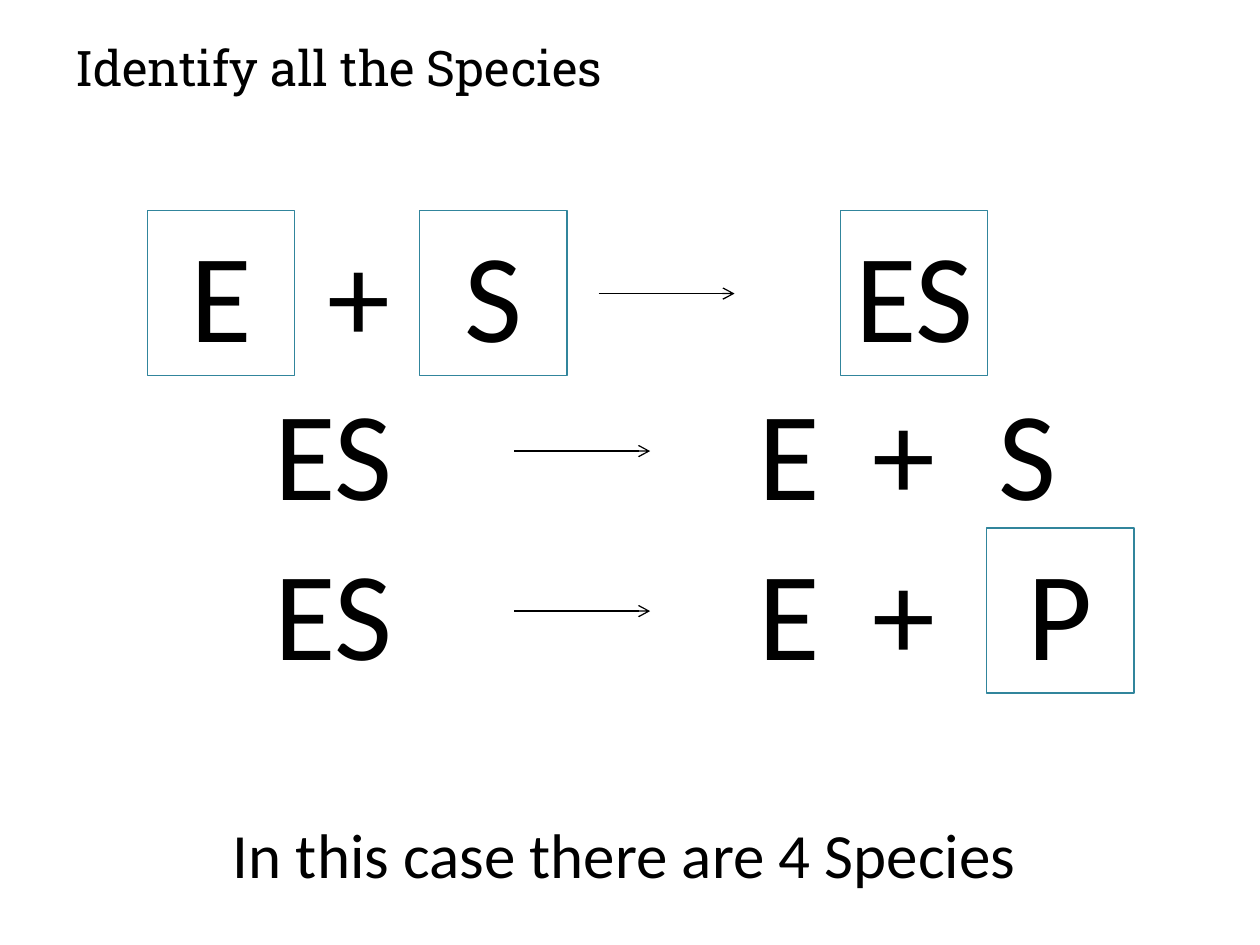
import pptx
import pptx.util
import pptx.dml.color
import pptx.enum.shapes
import pptx.enum.text
import pptx.oxml.ns
from lxml import etree

Inches, Pt = pptx.util.Inches, pptx.util.Pt
COLORS = {"text": "000000", "frame": "31859C"}
CELL_W, CELL_H = 1.17, 1.31
ARROW_W, ARROW_DROP = 1.08, 0.66


def rgb(name):
    return pptx.dml.color.RGBColor.from_string(COLORS[name])


def write(sp, text, size, font="Calibri", align=pptx.enum.text.PP_ALIGN.LEFT):
    tf = sp.text_frame
    tf.word_wrap = True
    tf.auto_size = pptx.enum.text.MSO_AUTO_SIZE.SHAPE_TO_FIT_TEXT
    tf.vertical_anchor = pptx.enum.text.MSO_ANCHOR.TOP
    p = tf.paragraphs[0]
    p.text = text
    p.alignment = align
    p.font.size = Pt(size)
    p.font.name = font
    p.font.color.rgb = rgb("text")


def add_label(slide, box, text, size, font="Calibri"):
    sp = slide.shapes.add_textbox(*map(Inches, box))
    write(sp, text, size, font)


def add_framed(slide, box, text, size):
    sp = slide.shapes.add_shape(
        pptx.enum.shapes.MSO_SHAPE.RECTANGLE, *map(Inches, box))
    sp.shadow.inherit = False
    sp.fill.background()
    sp.line.color.rgb = rgb("frame")
    sp.line.width = Pt(0.75)
    write(sp, text, size, align=pptx.enum.text.PP_ALIGN.CENTER)


def add_arrow(slide, left, top):
    line = slide.shapes.add_connector(
        pptx.enum.shapes.MSO_CONNECTOR.STRAIGHT,
        Inches(left), Inches(top), Inches(left + ARROW_W), Inches(top))
    line.line.color.rgb = rgb("text")
    line.line.width = Pt(0.75)
    qn = pptx.oxml.ns.qn
    etree.SubElement(line.line._get_or_add_ln(), qn("a:tailEnd"), type="arrow")
    etree.SubElement(line._element.spPr, qn("a:effectLst"))


def add_reaction(slide, top, terms, arrow_left):
    """One reaction row; each term is (left, text, is a new species)."""
    for left, text, is_new in terms:
        add = add_framed if is_new else add_label
        add(slide, (left, top, CELL_W, CELL_H), text, 72)
    add_arrow(slide, arrow_left, top + ARROW_DROP)


def main():
    prs = pptx.Presentation()
    prs.slide_width, prs.slide_height = Inches(10), Inches(7.5)
    slide = prs.slides.add_slide(prs.slide_layouts[6])

    # Title
    add_label(slide, (0.5, 0.25, 9.42, 0.57), "Identify all the Species",
              28, "Roboto Slab")

    # Binding, dissociation and catalysis, with each new species framed
    add_reaction(slide, 1.67, [(1.17, "E", True), (2.5, "+", False),
                               (3.33, "S", True), (6.67, "ES", True)], 4.75)
    for top, product, is_new in [(2.92, "S", False), (4.19, "P", True)]:
        add_reaction(slide, top, [(2.08, "ES", False), (5.92, "E", False),
                                  (6.83, "+", False),
                                  (7.83, product, is_new)], 4.08)

    # Conclusion
    add_label(slide, (1.75, 6.42, 7.17, 0.71),
              "In this case there are 4 Species", 36)

    prs.save("out.pptx")


if __name__ == "__main__":
    main()
